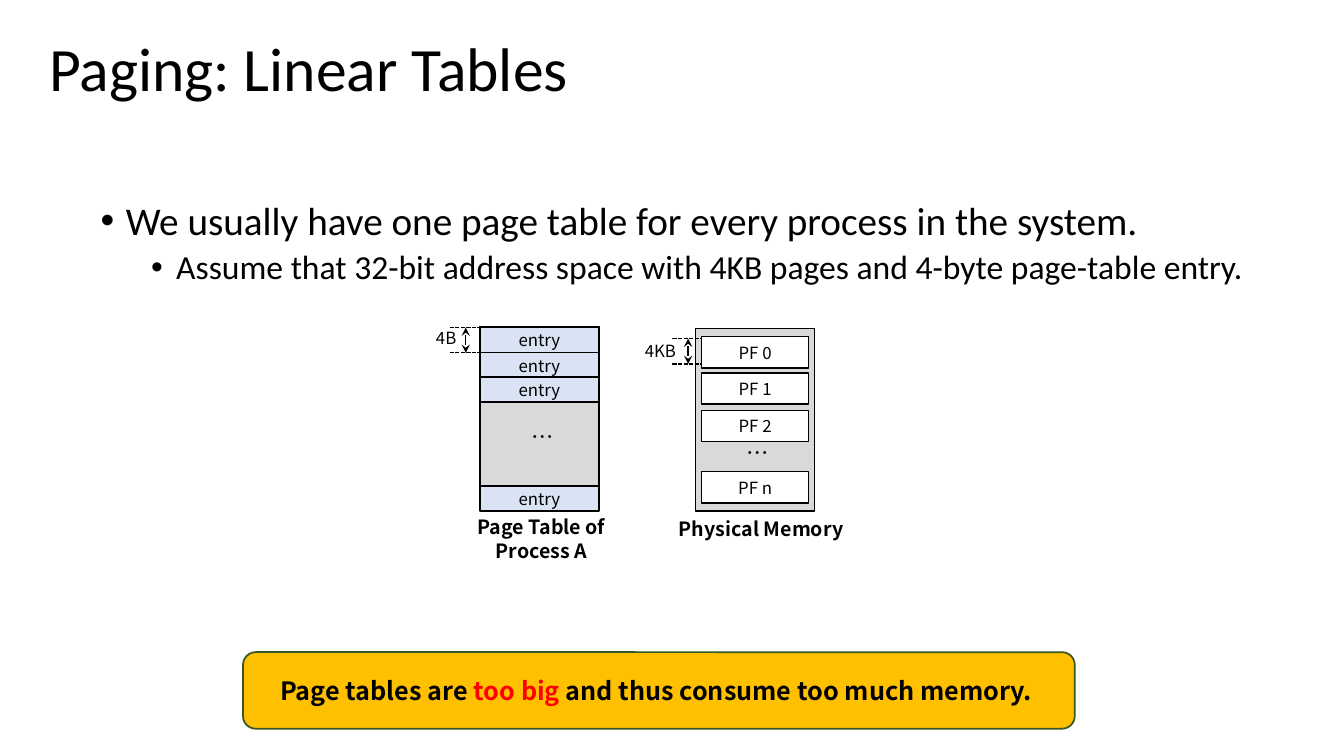
from collections import namedtuple
from dataclasses import dataclass

from lxml.etree import SubElement
from pptx import Presentation
from pptx.dml.color import RGBColor
from pptx.enum.dml import MSO_LINE_DASH_STYLE as Dash
from pptx.enum.shapes import MSO_CONNECTOR as Connector, MSO_SHAPE as Shape
from pptx.enum.text import MSO_ANCHOR as Anchor, PP_ALIGN as Align
from pptx.oxml.ns import qn
from pptx.util import Inches, Pt

Box = namedtuple("Box", "left top width height")


@dataclass(frozen=True)
class Theme:
    heading_font: str = "Calibri"
    diagram_font: str = "Noto Sans CJK KR"
    black: str = "000000"
    white: str = "FFFFFF"
    red: str = "FF0000"
    gray: str = "D9D9D9"
    entry_blue: str = "DAE3F3"
    amber: str = "FFC000"
    green: str = "385723"
    title_size: int = 44
    bullet_sizes: tuple = (28, 24)
    banner_size: int = 18
    dots_size: int = 16
    caption_size: int = 14
    label_size: int = 12
    line_width: float = 1


THEME = Theme()
LABEL_MARGINS = (0, 0.05)


def color(value):
    return RGBColor.from_string(value)


def write(shape, paragraphs, *, size, font=THEME.diagram_font, bold=False, align=Align.CENTER,
          anchor=Anchor.TOP, margins=(0.1, 0.05), spacing=None):
    """Fill a shape with paragraphs, each a string or a list of (text, colour) spans."""
    frame = shape.text_frame
    frame.word_wrap = True
    frame.vertical_anchor = anchor
    frame.margin_left = frame.margin_right = Inches(margins[0])
    frame.margin_top = frame.margin_bottom = Inches(margins[1])
    for index, content in enumerate(paragraphs):
        para = frame.add_paragraph() if index else frame.paragraphs[0]
        para.alignment = align
        if spacing:
            para.line_spacing = spacing
        spans = [(content, THEME.black)] if isinstance(content, str) else content
        for text, tint in spans:
            span = para.add_run()
            span.text = text
            span.font.name = font
            span.font.size = Pt(size)
            span.font.bold = bold
            span.font.color.rgb = color(tint)
            SubElement(span.font._element, qn("a:ea")).set("typeface", font)
    return frame


def add_text(page, box, paragraphs, **style):
    return write(page.shapes.add_textbox(*map(Inches, box)), paragraphs, **style)


def add_block(page, box, fill, *, kind=Shape.RECTANGLE, line=THEME.black, width=THEME.line_width):
    block = page.shapes.add_shape(kind, *map(Inches, box))
    block.shadow.inherit = False
    block.fill.solid()
    block.fill.fore_color.rgb = color(fill)
    block.line.color.rgb = color(line)
    block.line.width = Pt(width)
    return block


def add_cell(page, box, text, fill):
    write(add_block(page, box, fill), [text], size=THEME.label_size,
          anchor=Anchor.MIDDLE, margins=LABEL_MARGINS)


def add_line(page, start, end, *, dashed=False, arrows=False):
    line = page.shapes.add_connector(Connector.STRAIGHT, *map(Inches, (*start, *end)))
    line.line.color.rgb = color(THEME.black)
    line.line.width = Pt(THEME.line_width)
    if dashed:
        line.line.dash_style = Dash.SQUARE_DOT
    if arrows:
        for end_name in ("a:headEnd", "a:tailEnd"):
            SubElement(line.line._get_or_add_ln(), qn(end_name)).set("type", "stealth")
    SubElement(line._element.spPr, qn("a:effectLst"))


def add_size_mark(page, box):
    """Draw dashed lines on the top and bottom of the box with a double arrow between."""
    right, bottom = box.left + box.width, box.top + box.height
    middle = box.left + box.width / 2 + 0.01
    for y in (box.top, bottom):
        add_line(page, (box.left, y), (right, y), dashed=True)
    add_line(page, (middle, box.top), (middle, bottom), arrows=True)


def add_title(page, box):
    add_text(page, box, ["Paging: Linear Tables"], size=THEME.title_size,
             font=THEME.heading_font, align=Align.LEFT, anchor=Anchor.MIDDLE, spacing=0.9)


def add_bullets(page, box):
    lines = ["We usually have one page table for every process in the system.",
             "Assume that 32-bit address space with 4KB pages and 4-byte page-table entry."]
    frame = add_text(page, box, lines, size=THEME.bullet_sizes[0], font=THEME.heading_font,
                     align=Align.LEFT, spacing=0.9)
    for level, para in enumerate(frame.paragraphs):
        properties = para._p.get_or_add_pPr()
        properties.set("marL", str(Inches(0.25 + 0.5 * level)))
        properties.set("indent", str(Inches(-0.25)))
        SubElement(properties, qn("a:buFont")).set("typeface", "Arial")
        SubElement(properties, qn("a:buChar")).set("char", "•")
        para.level = level
        para.space_before = Pt(5 * level)
        para.runs[0].font.size = Pt(THEME.bullet_sizes[level])


def add_column(page, box, dots_top, caption_left, caption):
    """Draw the gray column with its ellipsis and the caption beneath."""
    add_block(page, box, THEME.gray)
    add_text(page, Box(box.left + 0.41, box.top + dots_top, 1.16, 0.37), ["…"],
             size=THEME.dots_size, align=Align.LEFT)
    add_text(page, Box(box.left + caption_left, box.top + 1.82, 1.92, 0.57), caption,
             size=THEME.caption_size, bold=True)


def add_page_table(page, box):
    add_column(page, box, 0.91, -0.35, ["Page Table of", "Process A"])
    for offset in (0.01, 0.26, 0.5, 1.58):
        add_cell(page, Box(box.left, box.top + offset, box.width, 0.25), "entry", THEME.entry_blue)
    add_text(page, Box(box.left - 0.61, box.top - 0.01, 0.55, 0.25), ["4B"],
             size=THEME.label_size, anchor=Anchor.MIDDLE, margins=LABEL_MARGINS)
    add_size_mark(page, Box(box.left - 0.3, box.top + 0.01, 0.3, 0.25))


def add_physical_memory(page, box):
    add_column(page, box, 1.05, -0.31, ["Physical Memory"])
    for name, offset in (("0", 0.08), ("1", 0.44), ("2", 0.81), ("n", 1.42)):
        add_cell(page, Box(box.left + 0.06, box.top + offset, 1.06, 0.31),
                 f"PF {name}", THEME.white)
    add_text(page, Box(box.left - 0.94, box.top + 0.09, 1.18, 0.25), ["4KB"],
             size=THEME.label_size, anchor=Anchor.MIDDLE, margins=LABEL_MARGINS)
    add_size_mark(page, Box(box.left - 0.23, box.top + 0.1, 0.29, 0.25))


def add_banner(page, box):
    banner = add_block(page, box, THEME.amber, kind=Shape.ROUNDED_RECTANGLE,
                       line=THEME.green, width=1.25)
    write(banner, [[("Page tables are ", THEME.black), ("too big ", THEME.red),
                    ("and thus consume too much memory. ", THEME.black)]],
          size=THEME.banner_size, bold=True, anchor=Anchor.MIDDLE, margins=(0.12, 0.05))


def main():
    deck = Presentation()
    deck.slide_width, deck.slide_height = Inches(13.33), Inches(7.5)
    page = deck.slides.add_slide(deck.slide_layouts[6])
    add_title(page, Box(0.39, -0.02, 11.5, 1.45))
    add_bullets(page, Box(0.9, 1.95, 11.67, 1.1))
    add_physical_memory(page, Box(6.9, 3.26, 1.18, 1.81))
    add_page_table(page, Box(4.76, 3.24, 1.18, 1.81))
    add_banner(page, Box(2.41, 6.47, 8.25, 0.76))
    deck.save("out.pptx")


if __name__ == "__main__":
    main()
